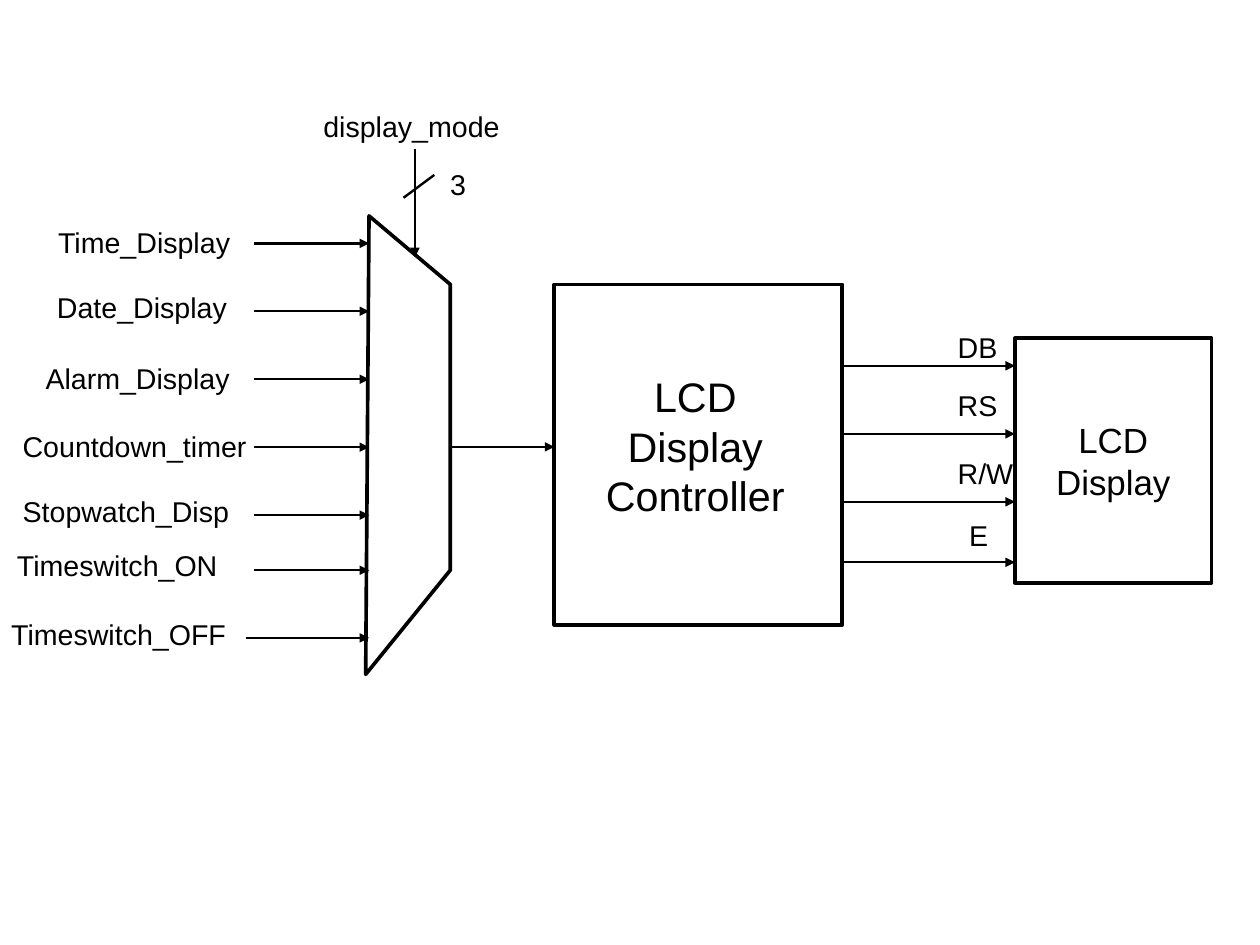
from dataclasses import dataclass

from lxml import etree
from pptx import Presentation
from pptx import util as u
from pptx.dml import color as col
from pptx.enum import shapes as sh
from pptx.enum import text as tx
from pptx.oxml import ns


@dataclass(frozen=True)
class Theme:
    ink: col.RGBColor = col.RGBColor(0, 0, 0)
    paper: col.RGBColor = col.RGBColor(255, 255, 255)
    font: str = "Arial"
    small: float = 18
    mid: float = 22
    big: float = 26
    thin: float = 1.5
    thick: float = 2.3


@dataclass(frozen=True)
class Box:
    left: float
    top: float
    width: float
    height: float

    @property
    def right(self) -> float:
        return self.left + self.width

    def lengths(self) -> list[u.Length]:
        return [u.Pt(v) for v in (self.left, self.top, self.width, self.height)]


@dataclass(frozen=True)
class Signal:
    """A label and the height of the arrow that belongs to it."""
    name: str
    label: Box
    wire: float
    start: float


LOOK = Theme()
WIDTH, HEIGHT = 793.75, 595.25
MUX = [(232.5, 136), (283.7, 179.2), (283.7, 359.2), (230.4, 424.8)]
CONTROL = Box(349.2, 179.2, 181.4, 214.4)
DISPLAY = Box(639.4, 213.1, 123.8, 154.1)
MIDDLE = 281.5
FIRST, STEP = 153.3, 42.8
LABEL = 32.4
MODE = 261.4
WIRE = 160

INPUTS = [
    Signal("Time_Display", Box(29.5, 138.2, 123.1, LABEL), FIRST, WIRE),
    Signal("Date_Display", Box(28.8, 179.2, 121.7, LABEL), FIRST + STEP, WIRE),
    Signal("Alarm_Display", Box(21.6, 223.9, 131, LABEL), FIRST + 2 * STEP, WIRE),
    Signal("Countdown_timer", Box(7.2, 266.4, 156.2, LABEL), FIRST + 3 * STEP, WIRE),
    Signal("Stopwatch_Disp", Box(7.2, 307.4, 145.4, LABEL), FIRST + 4 * STEP, WIRE),
    Signal("Timeswitch_ON", Box(3.6, 341.8, 141.8, LABEL), 359.2, WIRE),
    Signal("Timeswitch_OFF", Box(0, 385, 151.2, LABEL), 401.8, 154.8),
]
OUTPUTS = [
    Signal("DB", Box(596.2, 204.5, 39.6, 41), 230.4, CONTROL.right),
    Signal("RS", Box(596.2, 240.5, 39.6, LABEL), 273.3, CONTROL.right),
    Signal("R/W", Box(596.2, 283.7, 49.7, LABEL), 316.1, CONTROL.right),
    Signal("E", Box(603.4, 322.6, 26.6, 43.2), 354.2, CONTROL.right),
]


def write(frame, words: str, *, size: float = LOOK.small,
          align=tx.PP_ALIGN.LEFT, anchor=tx.MSO_ANCHOR.TOP) -> None:
    """Fill a text frame, one paragraph for each line of words."""
    frame.word_wrap = False
    frame.vertical_anchor = anchor
    frame.margin_left = frame.margin_right = u.Pt(7.2)
    frame.margin_top = frame.margin_bottom = u.Pt(3.6)
    frame.text = words
    for para in frame.paragraphs:
        para.alignment = align
        font = para.font
        font.name, font.size = LOOK.font, u.Pt(size)
        font.color.rgb = LOOK.ink


def label(slide, words: str, box: Box, **form) -> None:
    frame = slide.shapes.add_textbox(*box.lengths()).text_frame
    write(frame, words, **form)
    frame.auto_size = tx.MSO_AUTO_SIZE.SHAPE_TO_FIT_TEXT


def stroke(item, width: float) -> None:
    item.line.color.rgb = LOOK.ink
    item.line.width = u.Pt(width)


def block(slide, box: Box):
    rect = slide.shapes.add_shape(sh.MSO_SHAPE.RECTANGLE, *box.lengths())
    rect.shadow.inherit = False
    rect.fill.solid()
    rect.fill.fore_color.rgb = LOOK.paper
    stroke(rect, LOOK.thick)
    return rect


def mux(slide) -> None:
    pen = slide.shapes.build_freeform(*[u.Pt(v) for v in MUX[0]])
    pen.add_line_segments([(u.Pt(x), u.Pt(y)) for x, y in MUX[1:]], close=True)
    form = pen.convert_to_shape()
    form.shadow.inherit = False
    form.fill.background()
    stroke(form, LOOK.thick)


def wire(slide, x1: float, y1: float, x2: float, y2: float, *,
         arrow: bool = True) -> None:
    ends = [u.Pt(v) for v in (x1, y1, x2, y2)]
    link = slide.shapes.add_connector(sh.MSO_CONNECTOR.STRAIGHT, *ends)
    stroke(link, LOOK.thin)
    if arrow:
        line = link.line._get_or_add_ln()
        etree.SubElement(line, ns.qn("a:tailEnd"), type="triangle")
    etree.SubElement(link._element.spPr, ns.qn("a:effectLst"))


def main() -> None:
    deck = Presentation()
    deck.slide_width, deck.slide_height = u.Pt(WIDTH), u.Pt(HEIGHT)
    slide = deck.slides.add_slide(deck.slide_layouts[6])

    mux(slide)
    block(slide, CONTROL)
    label(slide, "LCD\nDisplay\nController", Box(374.4, 230.4, 127.4, 94.3),
          size=LOOK.big, align=tx.PP_ALIGN.CENTER)
    panel = block(slide, DISPLAY)
    write(panel.text_frame, "LCD\nDisplay", size=LOOK.mid,
          align=tx.PP_ALIGN.CENTER, anchor=tx.MSO_ANCHOR.MIDDLE)

    wire(slide, MUX[1][0], MIDDLE, CONTROL.left, MIDDLE)
    wire(slide, MODE, 93.6, MODE, 162)
    wire(slide, 273.6, 110.2, 254.2, 124.6, arrow=False)
    label(slide, "display_mode", Box(196.6, 64.8, 131, 27.4))
    label(slide, "3", Box(276.5, 101.5, 24.5, LABEL))

    for group, end in ((INPUTS, MUX[0][0]), (OUTPUTS, DISPLAY.left)):
        for sig in group:
            wire(slide, sig.start, sig.wire, end, sig.wire)
            label(slide, sig.name, sig.label)

    deck.save("out.pptx")


if __name__ == "__main__":
    main()
